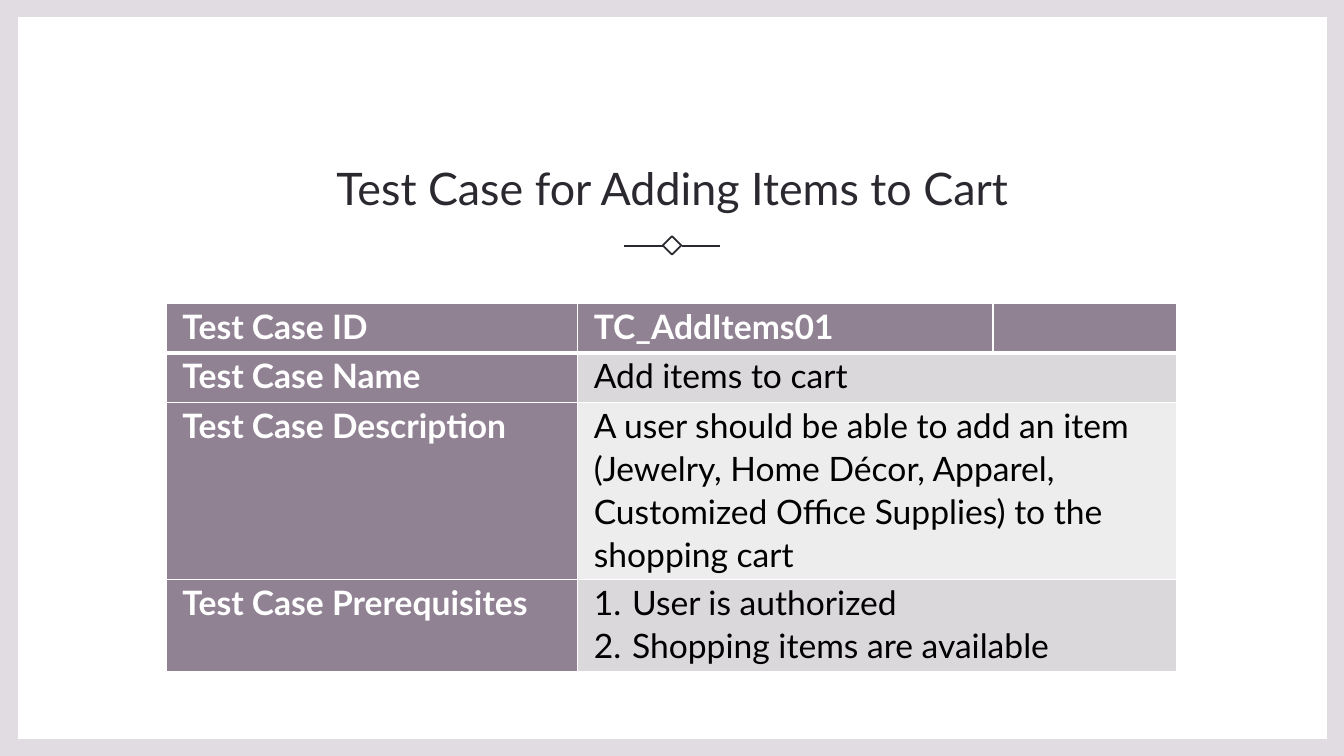
from pptx import Presentation
from pptx.dml.color import RGBColor
from pptx.enum import shapes, text
from pptx.oxml import parse_xml
from pptx.oxml import ns
from pptx.util import Inches, Pt

TITLE = "Test Case for Adding Items to Cart"
ROWS = [
    ("Test Case ID", ["TC_AddItems01"]),
    ("Test Case Name", ["Add items to cart"]),
    ("Test Case Description", ["A user should be able to add an item (Jewelry, Home Décor, "
                               "Apparel, Customized Office Supplies) to the shopping cart"]),
    ("Test Case Prerequisites", ["User is authorized", "Shopping items are available"]),
]
COL_WIDTHS = [4.08, 4.12, 1.82]
ROW_HEIGHTS = [0.49, 0.49, 1.76, 0.91]
WIDTH, HEIGHT = 13.33, 7.5
FONT = "Lato"
INK = RGBColor(0x2C, 0x28, 0x30)
FRAME = RGBColor(0xE0, 0xDC, 0xE1)
MAUVE = RGBColor(0x90, 0x81, 0x93)
BAND_DARK = RGBColor(0xDB, 0xD8, 0xDC)
BAND_LIGHT = RGBColor(0xEE, 0xED, 0xEE)
WHITE = RGBColor(0xFF, 0xFF, 0xFF)
BLACK = RGBColor(0, 0, 0)


def add_rect(s, left, top, width, height, fill=None, line=None):
    """Add a flat rectangle."""
    sp = s.shapes.add_shape(shapes.MSO_SHAPE.RECTANGLE, Inches(left), Inches(top),
                            Inches(width), Inches(height))
    sp.shadow.inherit = False
    if fill is None:
        sp.fill.background()
    else:
        sp.fill.solid()
        sp.fill.fore_color.rgb = fill
    if line is None:
        sp.line.fill.background()
    else:
        sp.line.color.rgb = line
        sp.line.width = Pt(1.25)
    return sp


def add_title(s):
    """Fill and place the title."""
    sp = s.shapes.title
    sp.left, sp.top, sp.width, sp.height = map(Inches, (1.13, 1.05, 11.08, 1.13))
    tf = sp.text_frame
    tf.text = TITLE
    tf.word_wrap = True
    tf.vertical_anchor = text.MSO_ANCHOR.BOTTOM
    p = tf.paragraphs[0]
    p.alignment = text.PP_ALIGN.CENTER
    p.line_spacing = 1.1
    style_run(p.runs[0], 32, INK, False)


def style_run(r, size, color, bold):
    """Set the font of a run."""
    r.font.name = FONT
    r.font.size = Pt(size)
    r.font.bold = bold
    r.font.color.rgb = color


def add_ornament(s):
    """Draw the diamond between two short rules."""
    add_rect(s, 6.6, 2.37, 0.13, 0.13, line=INK).rotation = 45
    for start, end in ((6.19, 6.58), (6.76, 7.14)):
        c = s.shapes.add_connector(shapes.MSO_CONNECTOR.STRAIGHT, Inches(start), Inches(2.44),
                                   Inches(end), Inches(2.44))
        c.line.color.rgb = INK
        c.line.width = Pt(1.25)
        c._element.spPr.append(parse_xml(f"<a:effectLst {ns.nsdecls('a')}/>"))


def set_borders(cell, row):
    """Draw white cell borders, thicker under the header row."""
    widths = {"L": 1, "R": 1, "T": 3 if row == 1 else 1, "B": 3 if row == 0 else 1}
    tcPr = cell._tc.get_or_add_tcPr()
    for i, (side, width) in enumerate(widths.items()):
        tcPr.insert(i, parse_xml(
            f'<a:ln{side} {ns.nsdecls("a")} w="{Pt(width)}"><a:solidFill>'
            f'<a:srgbClr val="{WHITE}"/></a:solidFill></a:ln{side}>'))


def write_cell(cell, lines, color, bold):
    """Write the lines of a cell, numbered when there are several."""
    cell.margin_left = cell.margin_right = Inches(0.16)
    cell.margin_top = cell.margin_bottom = 0
    tf = cell.text_frame
    tf.text = "\n".join(lines)
    for p in tf.paragraphs:
        p.line_spacing = 1.07
        style_run(p.runs[0], 24, color, bold)
        if len(lines) > 1:
            pPr = p._p.get_or_add_pPr()
            pPr.set("marL", str(Inches(0.38)))
            pPr.set("indent", str(-Inches(0.38)))
            pPr.append(parse_xml(f'<a:buAutoNum {ns.nsdecls("a")} type="arabicPeriod"/>'))


def add_case_table(s):
    """Build the test case table."""
    table = s.shapes.add_table(len(ROWS), len(COL_WIDTHS), Inches(1.65), Inches(3.01),
                               Inches(sum(COL_WIDTHS)), Inches(sum(ROW_HEIGHTS))).table
    for column, width in zip(table.columns, COL_WIDTHS):
        column.width = Inches(width)
    for i, (label, lines) in enumerate(ROWS):
        table.rows[i].height = Inches(ROW_HEIGHTS[i])
        band = MAUVE if i == 0 else BAND_DARK if i % 2 else BAND_LIGHT
        for j in range(len(COL_WIDTHS)):
            cell = table.cell(i, j)
            cell.fill.solid()
            cell.fill.fore_color.rgb = band if j else MAUVE
            set_borders(cell, i)
        write_cell(table.cell(i, 0), [label], WHITE, True)
        write_cell(table.cell(i, 1), lines, BLACK if i else WHITE, i == 0)
        if i:
            table.cell(i, 1).merge(table.cell(i, 2))


def main():
    """Build the test case slide."""
    prs = Presentation()
    prs.slide_width, prs.slide_height = Inches(WIDTH), Inches(HEIGHT)
    s = prs.slides.add_slide(prs.slide_layouts[5])
    backdrop = [add_rect(s, 0, 0, WIDTH, HEIGHT, FRAME),
                add_rect(s, 0.18, 0.17, 12.98, 7.16, WHITE)]
    for sp in backdrop:
        s.shapes.title._element.addprevious(sp._element)
    add_title(s)
    add_ornament(s)
    add_case_table(s)
    prs.save("out.pptx")


if __name__ == "__main__":
    main()
